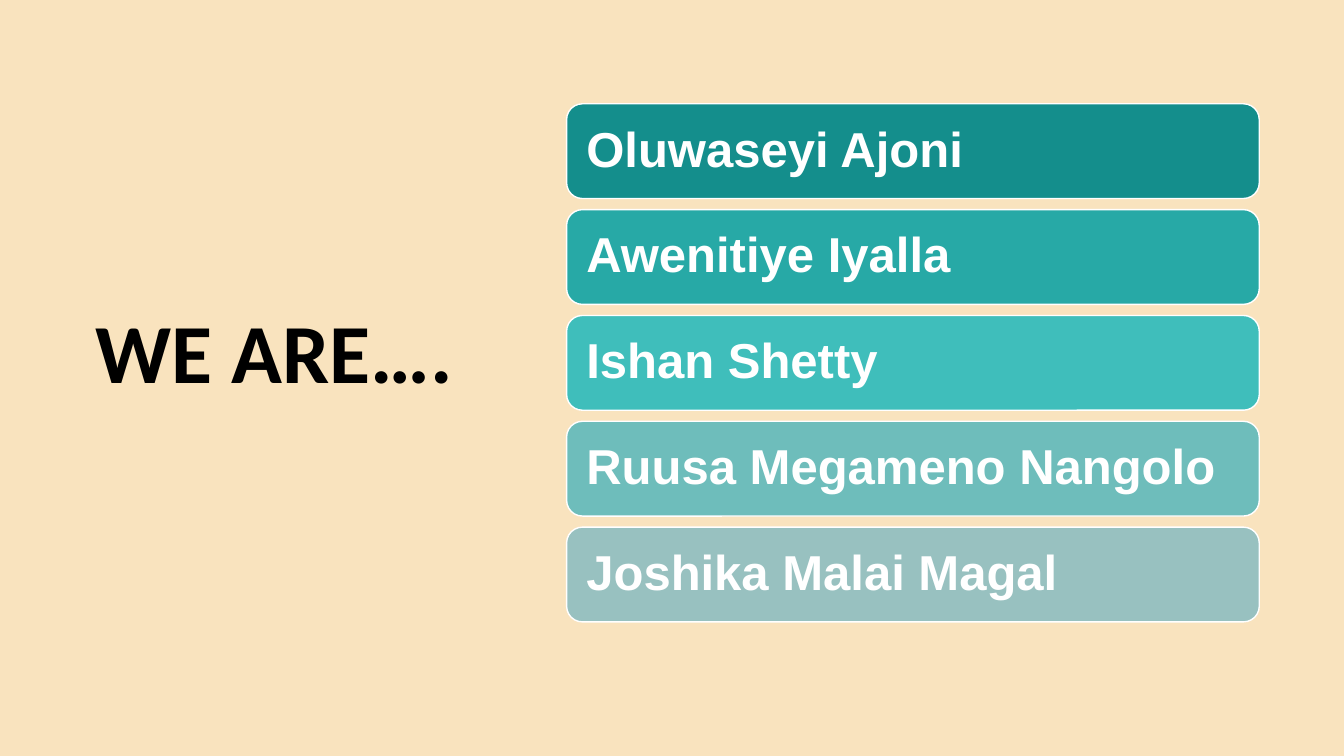
from dataclasses import dataclass

import pptx
import pptx.dml.color
import pptx.enum.shapes
import pptx.enum.text
import pptx.util

SLIDE_WIDTH = pptx.util.Inches(13.33)
SLIDE_HEIGHT = pptx.util.Inches(7.5)

COLOURS = {
    "sand": "F9E3BE",
    "white": "FFFFFF",
    "black": "000000",
    "deep teal": "148E8C",
    "teal": "27A9A6",
    "bright teal": "3FBEBB",
    "soft teal": "6EBDBB",
    "grey teal": "98C1C0",
}

BAR_LEFT = 5.62 / 13.33
BAR_WIDTH = 6.87 / 13.33
BAR_HEIGHT = 0.94 / 7.5
FIRST_BAR_TOP = 1.03 / 7.5
BAR_STEP = 1.05 / 7.5


@dataclass(frozen=True)
class Area:
    left: float
    top: float
    width: float
    height: float

    def lengths(self) -> tuple[int, int, int, int]:
        return (
            round(self.left * SLIDE_WIDTH),
            round(self.top * SLIDE_HEIGHT),
            round(self.width * SLIDE_WIDTH),
            round(self.height * SLIDE_HEIGHT),
        )


@dataclass(frozen=True)
class Member:
    name: str
    colour: str


MEMBERS = [
    Member("Oluwaseyi Ajoni", "deep teal"),
    Member("Awenitiye Iyalla", "teal"),
    Member("Ishan Shetty", "bright teal"),
    Member("Ruusa Megameno Nangolo", "soft teal"),
    Member("Joshika Malai Magal", "grey teal"),
]

TITLE_AREA = Area(0.85 / 13.33, 2.92 / 7.5, 4.57 / 13.33, 1.11 / 7.5)


def colour(name: str) -> pptx.dml.color.RGBColor:
    return pptx.dml.color.RGBColor.from_string(COLOURS[name])


def write(shape, text: str, font_name: str, size: float, colour_name: str) -> None:
    shape.text_frame.word_wrap = True
    shape.text_frame.text = text
    paragraph = shape.text_frame.paragraphs[0]
    paragraph.alignment = pptx.enum.text.PP_ALIGN.LEFT
    font = paragraph.runs[0].font
    font.name = font_name
    font.size = pptx.util.Pt(size)
    font.bold = True
    font.color.rgb = colour(colour_name)


def add_filled_shape(slide, kind, area: Area, colour_name: str):
    shape = slide.shapes.add_shape(kind, *area.lengths())
    shape.shadow.inherit = False
    shape.fill.solid()
    shape.fill.fore_color.rgb = colour(colour_name)
    shape.line.fill.background()
    return shape


def add_member_bar(slide, row: int, member: Member) -> None:
    area = Area(BAR_LEFT, FIRST_BAR_TOP + row * BAR_STEP, BAR_WIDTH, BAR_HEIGHT)
    kind = pptx.enum.shapes.MSO_SHAPE.ROUNDED_RECTANGLE
    shape = add_filled_shape(slide, kind, area, member.colour)
    shape.line.color.rgb = colour("white")
    shape.line.width = pptx.util.Pt(1)
    frame = shape.text_frame
    inset = pptx.util.Inches(0.15)
    frame.margin_left = frame.margin_right = inset
    frame.margin_top = frame.margin_bottom = inset
    frame.vertical_anchor = pptx.enum.text.MSO_ANCHOR.MIDDLE
    write(shape, member.name, "Arial", 35, "white")
    frame.paragraphs[0].line_spacing = 0.9


def add_title(slide) -> None:
    shape = slide.shapes.add_textbox(*TITLE_AREA.lengths())
    write(shape, "WE ARE….", "Calibri", 60, "black")
    shape.text_frame.auto_size = pptx.enum.text.MSO_AUTO_SIZE.SHAPE_TO_FIT_TEXT


def main() -> None:
    presentation = pptx.Presentation()
    presentation.slide_width = SLIDE_WIDTH
    presentation.slide_height = SLIDE_HEIGHT
    slide = presentation.slides.add_slide(presentation.slide_layouts[6])
    add_filled_shape(
        slide, pptx.enum.shapes.MSO_SHAPE.RECTANGLE, Area(0, 0, 1, 1), "sand"
    )
    for row, member in enumerate(MEMBERS):
        add_member_bar(slide, row, member)
    add_title(slide)
    presentation.save("out.pptx")


if __name__ == "__main__":
    main()
